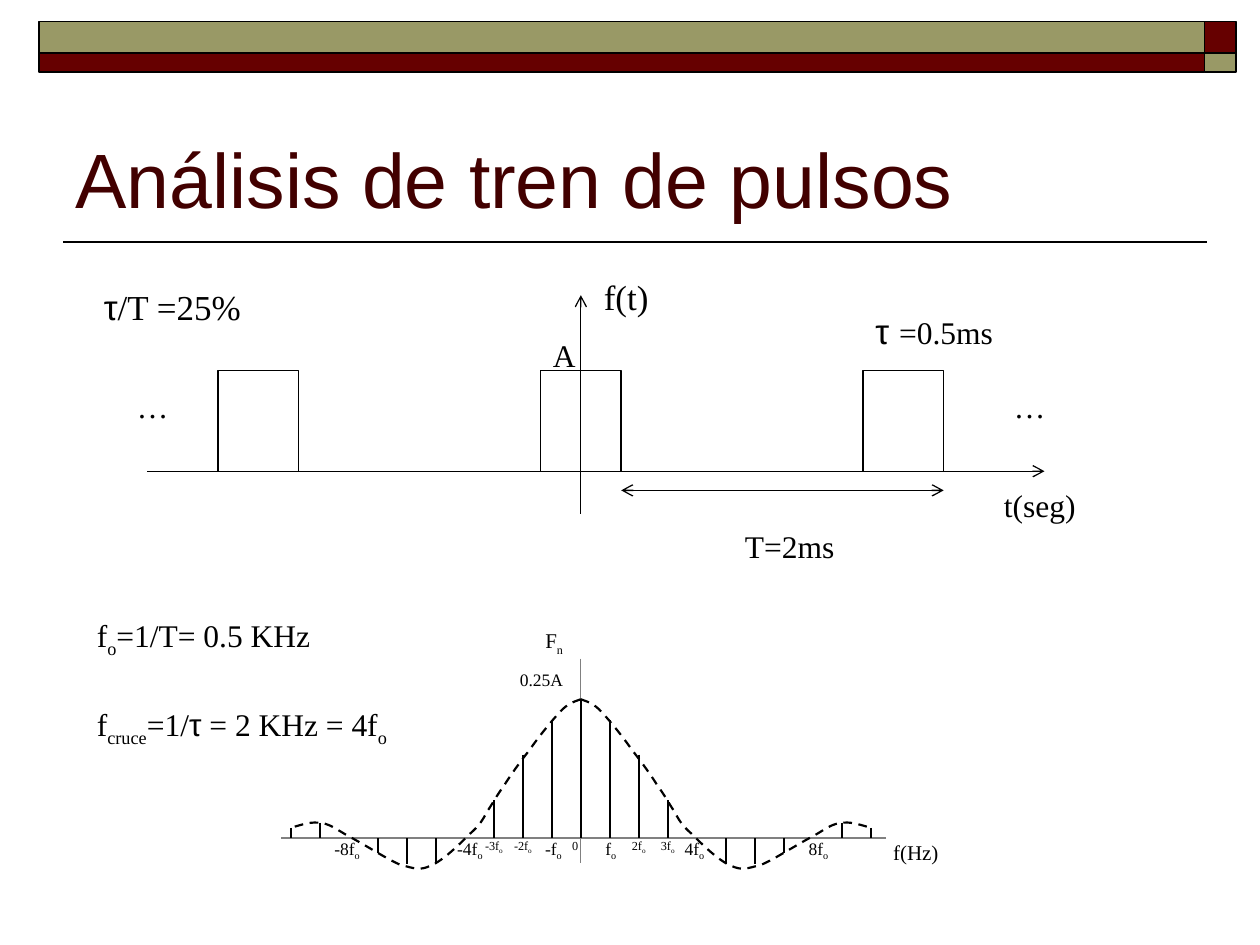
from dataclasses import dataclass

from lxml.etree import SubElement
from pptx import Presentation
from pptx.dml.color import RGBColor
from pptx.enum.dml import MSO_LINE
from pptx.enum.shapes import MSO_CONNECTOR, MSO_SHAPE
from pptx.enum.text import MSO_ANCHOR, MSO_AUTO_SIZE, PP_ALIGN
from pptx.oxml.ns import qn
from pptx.util import Inches, Pt

BLACK = RGBColor(0, 0, 0)
WHITE = RGBColor(255, 255, 255)
GRAY = RGBColor(0x80, 0x80, 0x80)
WINE = RGBColor(0x66, 0, 0)
DARK = RGBColor(0x42, 0, 0)
OLIVE = RGBColor(0x99, 0x99, 0x66)
SERIF, SANS = "Times New Roman", "Arial"

# Points of the envelope: (harmonic, height), a start and three per curve.
CURVE = [
    (0, 10),
    (0.1, 9.9), (0.37, 9.8), (0.63, 9.27),
    (0.94, 8.62), (1.47, 7.25), (1.77, 6.33),
    (2.12, 5.41), (2.43, 4.5), (2.65, 3.76),
    (2.91, 3.03), (3.04, 2.48), (3.22, 1.93),
    (3.39, 1.28), (3.48, 0.92), (3.83, 0.28),
    (4.14, -0.37), (4.75, -1.65), (5.19, -2.02),
    (5.58, -2.39), (5.76, -2.2), (6.24, -1.93),
    (6.67, -1.56), (7.55, -0.37), (7.99, 0.09),
    (8.38, 0.55), (8.47, 0.73), (8.69, 0.92),
    (8.91, 1.1), (9, 1.1), (9.21, 1.1),
    (9.43, 1.1), (9.83, 0.83), (10, 0.73),
]
STEMS = {1: 8.5, 2: 6, 3: 2.7, 5: -1.9, 6: -1.9, 7: -1.1, 9: 1.1, 10: 0.73}


@dataclass
class Grid:
    """Origin and cell size in inches; columns run right, rows run down."""
    left: float
    top: float
    col: float
    row: float

    def spot(self, x, y):
        return Inches(self.left + x * self.col), Inches(self.top + y * self.row)

    def box(self, x, y, wide, high):
        return *self.spot(x, y), Inches(wide * self.col), Inches(high * self.row)


def write(slide, box, text, size=18, greek=None, align=PP_ALIGN.LEFT, tight=False):
    """Add text split at |; a part led by _ is lowered, one led by τ is sans."""
    frame = slide.shapes.add_textbox(*box).text_frame
    frame.word_wrap = True
    frame.auto_size = MSO_AUTO_SIZE.NONE if tight else MSO_AUTO_SIZE.SHAPE_TO_FIT_TEXT
    if tight:
        frame.margin_left = frame.margin_right = 0
        frame.margin_top = frame.margin_bottom = 0
    para = frame.paragraphs[0]
    para.alignment = align
    for part in text.split("|"):
        run = para.add_run()
        run.text = part.lstrip("_")
        font = run.font
        tau = part.startswith("τ")
        font.name = SANS if tau else SERIF
        font.size = Pt(greek if tau and greek else size)
        font.color.rgb = BLACK
        if part.startswith("_"):
            font._element.set("baseline", "-25000")


def rule(slide, start, end, color=BLACK, width=0.75, heads=()):
    line = slide.shapes.add_connector(MSO_CONNECTOR.STRAIGHT, *start, *end)
    line.line.color.rgb = color
    line.line.width = Pt(width)
    for head in heads:
        SubElement(line.line._get_or_add_ln(), qn(f"a:{head}"), type="arrow")
    SubElement(line._element.spPr, qn("a:effectLst"))


def block(slide, box, fill, width=1):
    shape = slide.shapes.add_shape(MSO_SHAPE.RECTANGLE, *box)
    shape.shadow.inherit = False
    shape.fill.solid()
    shape.fill.fore_color.rgb = fill
    shape.line.color.rgb = BLACK
    shape.line.width = Pt(width)


def bend(slide, points):
    """Draw a dashed outline of cubic curves."""
    build = slide.shapes.build_freeform(*points[0], scale=1.0)
    build.add_line_segments(points[1:], close=False)
    shape = build.convert_to_shape()
    shape.shadow.inherit = False
    shape.fill.background()
    shape.line.color.rgb = BLACK
    shape.line.width = Pt(1.25)
    shape.line.dash_style = MSO_LINE.DASH
    trace = shape._element.find(".//" + qn("a:path"))
    steps = trace.findall(qn("a:lnTo"))
    for i in range(0, len(steps), 3):
        cubic = SubElement(trace, qn("a:cubicBezTo"))
        for step in steps[i:i + 3]:
            cubic.append(step[0])
            trace.remove(step)


def header(slide, grid):
    rule(slide, grid.spot(0.76, 7), grid.spot(37.08, 7))
    for x, wide, fills in ((0, 37, (OLIVE, WINE)), (37, 1, (WINE, OLIVE))):
        block(slide, grid.box(x, 0, wide, 1), fills[0])
        block(slide, grid.box(x, 1, wide, 0.6), fills[1])
    title = slide.shapes.title
    title.left, title.top, title.width, title.height = grid.box(0.76, 1.64, 36, 5)
    frame = title.text_frame
    frame.text = "Análisis de tren de pulsos"
    frame.vertical_anchor = MSO_ANCHOR.BOTTOM
    para = frame.paragraphs[0]
    para.alignment = PP_ALIGN.LEFT
    para.font.name = SANS
    para.font.size = Pt(44)
    para.font.color.rgb = DARK


def pulses(slide, grid):
    """Pulse train: 8 columns per period, 5 rows of height."""
    rule(slide, grid.spot(-10.75, 0), grid.spot(11.5, 0), heads=["tailEnd"])
    for n in (-1, 0, 1):
        block(slide, grid.box(8 * n - 1, -5, 2, 5), WHITE, 0.75)
    rule(slide, grid.spot(0, 2.1), grid.spot(0, -8.73), heads=["tailEnd"])
    rule(slide, grid.spot(1, 0.95), grid.spot(9, 0.95), heads=["headEnd", "tailEnd"])
    write(slide, grid.box(3.76, 2.47, 3.24, 2.53), "T=2ms")
    write(slide, grid.box(7, -8.35, 4.25, 2.78), "τ |=0.5ms", greek=20)
    write(slide, grid.box(-1, -7.03, 1.24, 2.53), "A")
    mid = PP_ALIGN.CENTER
    write(slide, grid.box(0, -10, 2.25, 2.78), "f(t)", size=20, align=mid)
    write(slide, grid.box(9.76, 0.44, 3.24, 2.53), "t(seg)", align=mid)
    for x in (-12.24, 9.51):
        write(slide, grid.box(x, -4.5, 3.24, 2.53), "…", align=mid)
    write(slide, grid.box(-12.75, -9.5, 5.24, 2.78), "τ|/T =25%", size=20, align=mid)


def sums(slide, grid):
    lines = ("f|_o|=1/T= 0.5 KHz", "f|_cruce|=1/|τ| = 2 KHz = 4f|_o")
    for n, text in enumerate(lines):
        write(slide, grid.box(0, n, 1, 0.62), text)


def bands(slide, grid):
    """Spectrum: a column per harmonic, 10 rows to the peak."""
    rule(slide, grid.spot(0, -12.94), grid.spot(0, 1.83), GRAY)
    rule(slide, grid.spot(10.53, 0), grid.spot(-10.35, 0), GRAY)
    rule(slide, grid.spot(0, -10), grid.spot(0, 0), width=1.25)
    for side in (-1, 1):
        for n, high in STEMS.items():
            rule(slide, grid.spot(side * n, -high), grid.spot(side * n, 0), width=1.25)
        bend(slide, [grid.spot(side * x, -y) for x, y in CURVE])
    marks = [
        (-8.07, "-8f|_o", 10), (-3.83, "-4f|_o", 10), (-3, "-3f|_o", 7),
        (-2, "-2f|_o", 7), (-0.95, "-f|_o", 10), (-0.2, "0", 7),
        (1.03, "f|_o", 10), (2, "2f|_o", 7), (3, "3f|_o", 7),
        (3.92, "4f|_o", 10), (8.2, "8f|_o", 10),
    ]
    boxes = [((x - 0.53, 0, 1.06, 1.83), text, size) for x, text, size in marks]
    boxes += [
        ((-2.74, -12.2, 2.76, 2.57), "0.25A", 10),
        ((10.4, 0.1, 2.32, 3), "f(Hz)", 12),
        ((-2.08, -15.14, 2.32, 3), "F|_n", 12),
    ]
    for box, text, size in boxes:
        write(slide, grid.box(*box), text, size=size, align=PP_ALIGN.CENTER, tight=True)


def main():
    deck = Presentation()
    deck.slide_width, deck.slide_height = Inches(10), Inches(7.5)
    slide = deck.slides.add_slide(deck.slide_layouts[5])
    header(slide, Grid(0.31, 0.17, 0.25, 0.25))
    pulses(slide, Grid(4.61, 3.74, 0.32, 0.16))
    sums(slide, Grid(0.67, 4.84, 2.91, 0.71))
    bands(slide, Grid(4.61, 6.65, 0.23, 0.11))
    deck.save("out.pptx")


if __name__ == "__main__":
    main()
